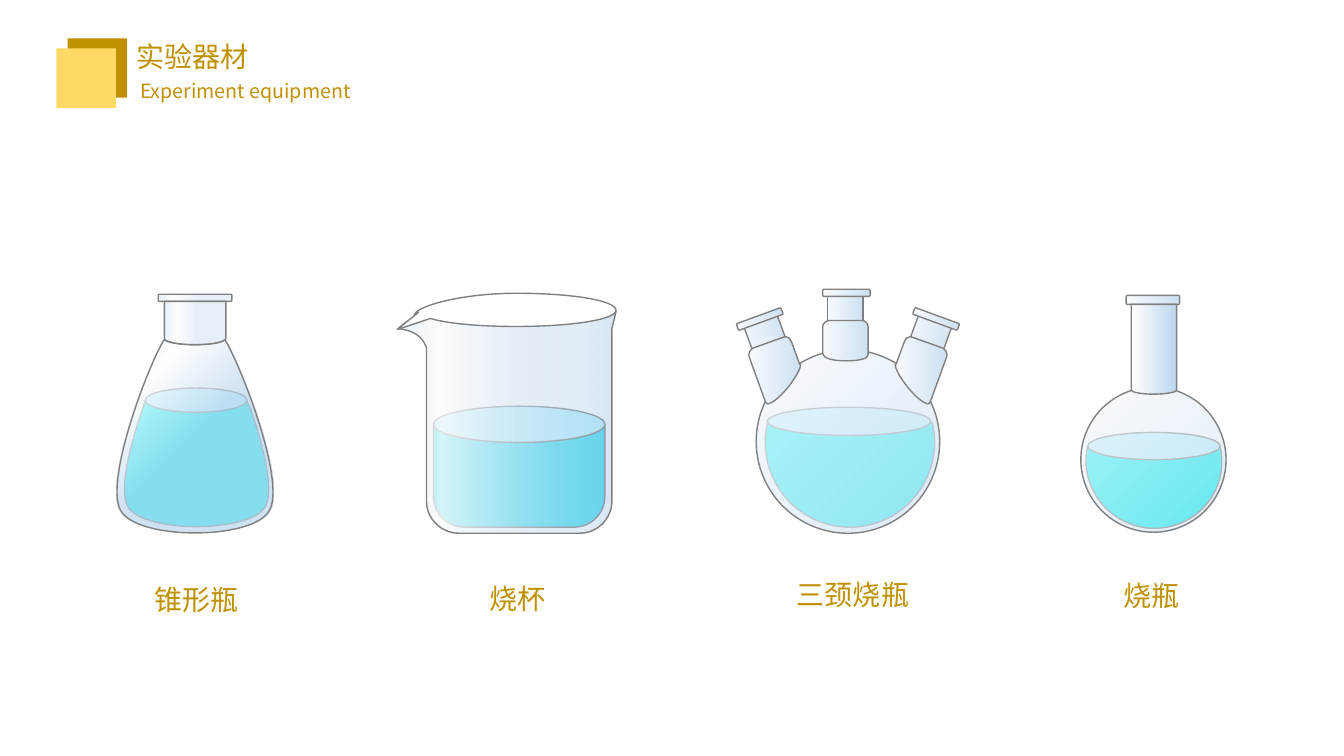
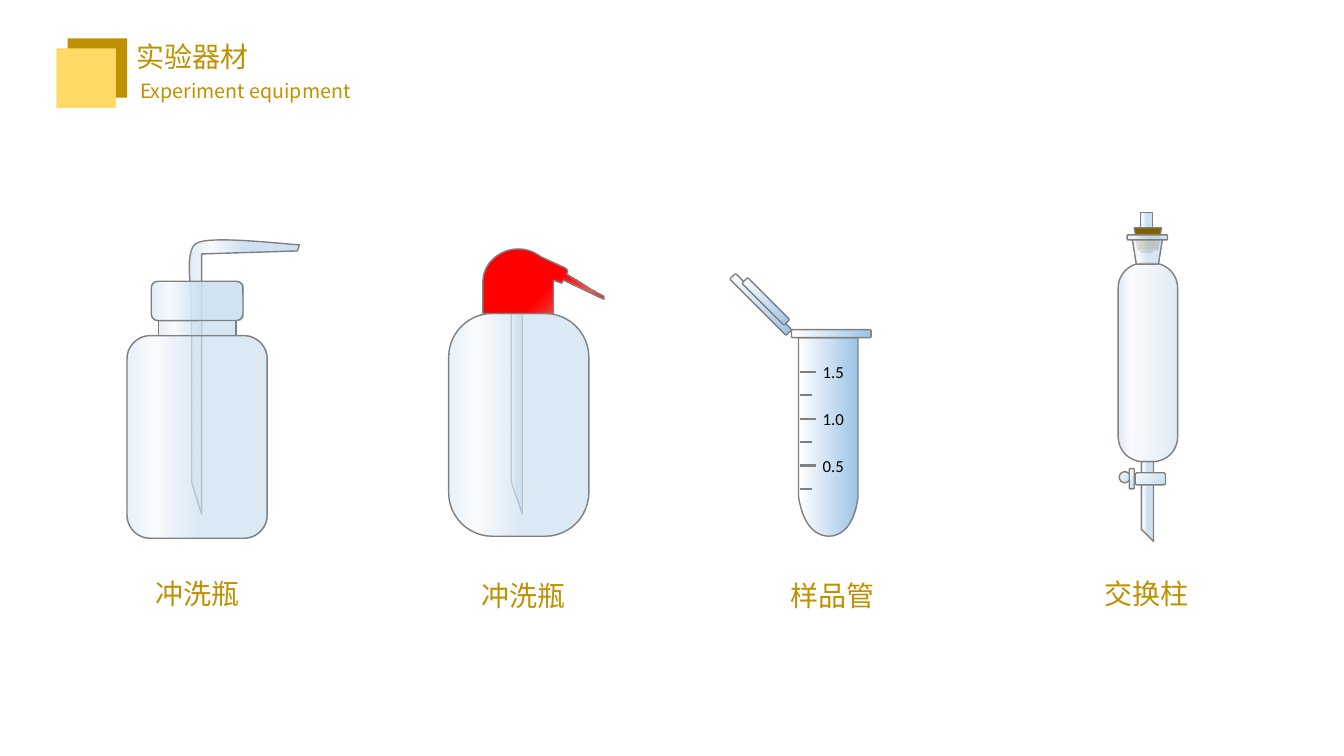
from dataclasses import dataclass, replace

import lxml.etree
import pptx
import pptx.dml.color
import pptx.enum.shapes
import pptx.enum.text
import pptx.oxml.ns
import pptx.util

SHAPE = pptx.enum.shapes.MSO_SHAPE
ALIGN = pptx.enum.text.PP_ALIGN
Inches = pptx.util.Inches
qn = pptx.oxml.ns.qn


@dataclass(frozen=True)
class Gradient:
    """Stops are (percent, colour); alphas holds one opacity, or one per stop."""
    stops: tuple
    alphas: tuple = (100,)
    focus: str = ""

    def faded(self, *alphas):
        return replace(self, alphas=alphas)

    def radial(self, focus="top left"):
        return replace(self, focus=focus)


@dataclass(frozen=True)
class Theme:
    width: float = 13.33
    height: float = 7.5
    gold: str = "BF9000"
    yellow: str = "FFD966"
    outline: str = "808080"
    white: str = "FFFFFF"
    black: str = "000000"
    liquid: str = "00F0F0"
    beaker_liquid: str = "40DDF0"
    surface: str = "BAF1FF"
    cork: str = "806000"
    title_font: str = "Arial"
    text_font: str = "Noto Sans CJK SC"
    scale_font: str = "Calibri"
    title_size: int = 20
    subtitle_size: int = 14
    scale_size: int = 12
    clear: Gradient = Gradient(((0, "F7FAFD"), (100, "CEE1F2")))
    glass: Gradient = Gradient(((0, "DEEBF7"), (20, "F7FAFD"), (50, "CEE1F2")))
    conical: Gradient = Gradient(((0, "DEEBF7"), (20, "FFFFFF"), (50, "BDD7EE")), (70,))
    collar: Gradient = Gradient(((0, "DEEBF7"), (20, "FFFFFF"), (50, "DEEBF7")), (70,))
    beaker: Gradient = Gradient(
        ((0, "DEEBF7"), (20, "FCFCFC"), (85, "B5D2EC"), (100, "9DC3E6")), (40, 80, 40, 40))
    neck: Gradient = Gradient(((0, "FFFFFF"), (100, "BDD7EE")))
    tube: Gradient = Gradient(((0, "FFFFFF"), (100, "9DC3E6")))
    column: Gradient = Gradient(
        ((0, "DEEBF7"), (80, "F7FAFD"), (100, "CEE1F2")), (100, 70, 70))
    valve: Gradient = Gradient(((0, "F7FAFD"), (86, "CEE1F2")), focus="top left")
    nozzle: Gradient = Gradient(
        ((0, "FF0000"), (20, "FF5050"), (44, "FF0000")), focus="bottom right")


THEME = Theme()


def rgb(colour):
    return pptx.dml.color.RGBColor.from_string(colour)


def apply_gradient(shape, gradient):
    shape.fill.gradient()
    element = shape.element.xpath("./p:spPr/a:gradFill")[0]
    element.clear()
    element.set("rotWithShape", "1")
    stop_list = lxml.etree.SubElement(element, qn("a:gsLst"))
    alphas = gradient.alphas
    if len(alphas) == 1:
        alphas *= len(gradient.stops)
    for (percent, colour), alpha in zip(gradient.stops, alphas):
        stop = lxml.etree.SubElement(stop_list, qn("a:gs"), pos=str(percent * 1000))
        tint = lxml.etree.SubElement(stop, qn("a:srgbClr"), val=colour)
        if alpha < 100:
            lxml.etree.SubElement(tint, qn("a:alpha"), val=str(alpha * 1000))
    if gradient.focus:
        circle = lxml.etree.SubElement(element, qn("a:path"), path="circle")
        sides = "rb" if gradient.focus == "top left" else "lt"
        lxml.etree.SubElement(circle, qn("a:fillToRect"), {side: "100000" for side in sides})
    else:
        lxml.etree.SubElement(element, qn("a:lin"), ang="0", scaled="0")


def finish(shape, fill, outlined=True):
    shape.shadow.inherit = False
    if isinstance(fill, Gradient):
        apply_gradient(shape, fill)
    else:
        shape.fill.solid()
        shape.fill.fore_color.rgb = rgb(fill)
    if outlined:
        shape.line.color.rgb = rgb(THEME.outline)
        shape.line.width = pptx.util.Pt(1)
    else:
        shape.line.fill.background()


def part(parent, kind, box, fill, rotation=0, adjust=(), flipped=False, outlined=True):
    """Add a preset shape; box is left, top, width, height in inches."""
    shape = parent.shapes.add_shape(kind, *map(Inches, box))
    shape.rotation = rotation
    for index, value in enumerate(adjust):
        shape.adjustments[index] = value
    if flipped:
        shape.element.xpath("./p:spPr/a:xfrm")[0].set("flipV", "1")
    finish(shape, fill, outlined)


def read_outline(outline, mirror):
    """Split 'x,y' points into segments of one point, or of three after a C."""
    tokens = iter(outline.split())

    def point(token):
        x, y = map(float, token.split(","))
        return Inches(x if mirror is None else 2 * mirror - x), Inches(y)

    return [[point(next(tokens)) for _ in range(3)] if token == "C" else [point(token)]
            for token in tokens]


def extent(segments, axis, steps=20):
    """Return the lowest and highest coordinate that the curves reach."""
    values = []
    for segment in segments:
        ends = [point[axis] for point in segment]
        if len(ends) == 3:
            a, (b, c, d) = values[-1], ends
            for t in (step / steps for step in range(1, steps)):
                s = 1 - t
                values.append(s ** 3 * a + 3 * s * s * t * b + 3 * s * t * t * c + t ** 3 * d)
        values.append(ends[-1])
    return round(min(values)), round(max(values))


def outline_part(parent, outline, fill, mirror=None):
    """Add a closed outline, reflected about x = mirror when that is given."""
    segments = read_outline(outline, mirror)
    corners = [segment[-1] for segment in segments]
    builder = parent.shapes.build_freeform(*corners[0], scale=1.0)
    builder.add_line_segments(corners[1:], close=True)
    shape = builder.convert_to_shape()
    (left, right), (top, bottom) = extent(segments, 0), extent(segments, 1)
    shape.left, shape.top = left, top
    shape.width, shape.height = right - left, bottom - top
    route = shape.element.xpath(".//a:pathLst/a:path")[0]
    route.clear()
    route.set("w", str(right - left))
    route.set("h", str(bottom - top))
    for index, segment in enumerate(segments):
        kind = "a:cubicBezTo" if len(segment) == 3 else "a:lnTo" if index else "a:moveTo"
        command = lxml.etree.SubElement(route, qn(kind))
        for x, y in segment:
            lxml.etree.SubElement(command, qn("a:pt"), x=str(x - left), y=str(y - top))
    lxml.etree.SubElement(route, qn("a:close"))
    finish(shape, fill)


def write(shape, text, size, font, colour=THEME.gold, align=ALIGN.LEFT, wrap=True):
    frame = shape.text_frame
    frame.word_wrap = wrap
    frame.vertical_anchor = pptx.enum.text.MSO_ANCHOR.TOP
    paragraph = frame.paragraphs[0]
    paragraph.alignment = align
    run = paragraph.add_run()
    run.text = text
    run.font.size = pptx.util.Pt(size)
    run.font.color.rgb = rgb(colour)
    run.font.name = font
    lxml.etree.SubElement(run._r.xpath("./a:rPr")[0], qn("a:ea"), typeface=font)


def text_box(parent, box, *style, **options):
    write(parent.shapes.add_textbox(*map(Inches, box)), *style, **options)


def label(slide, text, center, top):
    width = 0.28 * len(text) + 0.2
    text_box(slide, (center - width / 2, top, width, 0.44), text, THEME.title_size,
             THEME.text_font, align=ALIGN.CENTER, wrap=False)


def tick(parent, left, right, y):
    line = parent.shapes.add_connector(
        pptx.enum.shapes.MSO_CONNECTOR.STRAIGHT, *map(Inches, (left, y, right, y)))
    line.line.color.rgb = rgb(THEME.outline)
    line.line.width = pptx.util.Pt(1.5)
    lxml.etree.SubElement(line.element.xpath("./p:spPr")[0], qn("a:effectLst"))


def conical_flask(group):
    outline_part(group, "1.44,3.98 2.45,3.98 2.49,4.07 C 2.62,4.45 2.72,4.87 2.63,5.03 "
                 "C 2.47,5.29 1.43,5.29 1.27,5.03 C 1.18,4.87 1.28,4.45 1.41,4.07",
                 THEME.liquid)
    part(group, SHAPE.OVAL, (1.44, 3.85, 1.01, 0.24), THEME.surface)
    outline_part(group, "1.63,3.37 C 1.66,3.4 1.79,3.42 1.93,3.42 C 2.08,3.42 2.21,3.4 "
                 "2.23,3.37 2.26,3.42 C 2.45,3.78 2.83,4.81 2.67,5.07 "
                 "C 2.5,5.36 1.37,5.36 1.2,5.07 C 1.04,4.81 1.41,3.78 1.6,3.42",
                 THEME.conical.radial())
    part(group, SHAPE.ROUNDED_RECTANGLE, (1.57, 2.92, 0.73, 0.07), THEME.collar)
    outline_part(group, "1.63,2.99 2.24,2.99 2.24,3.36 C 2.24,3.39 2.1,3.42 1.94,3.42 "
                 "C 1.77,3.42 1.63,3.39 1.63,3.36", THEME.collar)


def beaker(group):
    part(group, SHAPE.ROUND_2_SAME_RECTANGLE, (4.3, 4.22, 1.7, 1.01),
         THEME.beaker_liquid, adjust=(0.301, 0), flipped=True)
    part(group, SHAPE.OVAL, (4.3, 4.03, 1.7, 0.36), THEME.surface)
    outline_part(group, "4.55,5.29 5.75,5.29 C 5.92,5.29 6.07,5.15 6.07,4.97 6.07,3.26 "
                 "6.11,3.09 4.23,3.09 4.23,3.11 C 4.14,3.12 4.04,3.18 3.95,3.26 "
                 "C 4.04,3.27 4.12,3.3 4.17,3.35 C 4.2,3.38 4.22,3.42 4.23,3.45 "
                 "4.23,4.97 C 4.23,5.15 4.38,5.29 4.55,5.29", THEME.beaker)
    outline_part(group, "3.94,3.27 4.27,3.16 C 4.43,3.21 4.75,3.24 5.12,3.24 "
                 "C 5.67,3.24 6.11,3.17 6.11,3.08 C 6.11,2.98 5.67,2.91 5.12,2.91 "
                 "C 4.58,2.91 4.11,3.04 4.11,3.13 C 4.11,3.14 4.14,3.09 4.15,3.1",
                 THEME.white)


def round_bulb(group, liquid, surface, bulb, glass):
    part(group, SHAPE.CHORD, liquid, THEME.liquid, 291.6, (32.954, 156.884))
    part(group, SHAPE.OVAL, surface, THEME.surface)
    part(group, SHAPE.OVAL, bulb, glass.radial())


def three_neck_flask(group):
    axis = 8.41
    round_bulb(group, (7.59, 3.55, 1.68, 1.68), (7.61, 4.04, 1.62, 0.28),
               (7.5, 3.47, 1.82, 1.82), THEME.clear.faded(70))
    part(group, SHAPE.RECTANGLE, (8.21, 2.91, 0.35, 0.28), THEME.clear)
    part(group, SHAPE.ROUNDED_RECTANGLE, (8.16, 2.87, 0.47, 0.07), THEME.clear)
    outline_part(group, "8.23,3.18 8.55,3.18 C 8.58,3.18 8.61,3.21 8.61,3.24 8.61,3.52 "
                 "C 8.61,3.56 8.52,3.58 8.39,3.58 C 8.27,3.58 8.16,3.56 8.16,3.5 "
                 "8.16,3.24 C 8.16,3.21 8.19,3.18 8.23,3.18", THEME.clear)
    for side in (-1, 1):
        tilt = 20 * side % 360
        part(group, SHAPE.RECTANGLE, (axis + side * 0.835 - 0.175, 3.13, 0.35, 0.28),
             THEME.clear, tilt)
        part(group, SHAPE.ROUNDED_RECTANGLE,
             (axis + side * 0.875 - 0.235, 3.13, 0.47, 0.07), THEME.clear, tilt)
        outline_part(group, "7.79,3.34 C 7.82,3.34 7.84,3.36 7.85,3.39 7.93,3.61 7.94,3.62 "
                     "C 7.94,3.66 7.89,3.75 7.81,3.85 C 7.72,3.96 7.62,4.03 7.6,4 "
                     "7.59,3.98 7.43,3.54 C 7.42,3.51 7.44,3.46 7.48,3.45 7.76,3.35 "
                     "C 7.77,3.34 7.78,3.34 7.79,3.34", THEME.clear,
                     mirror=axis if side > 0 else None)


def round_flask(group):
    round_bulb(group, (10.78, 3.9, 1.33, 1.35), (10.79, 4.29, 1.31, 0.27),
               (10.72, 3.84, 1.44, 1.44), THEME.clear.faded(70, 50))
    part(group, SHAPE.ROUNDED_RECTANGLE, (11.17, 2.93, 0.53, 0.09), THEME.clear)
    outline_part(group, "11.22,3.02 11.67,3.02 11.67,3.87 C 11.67,3.89 11.57,3.91 "
                 "11.44,3.91 C 11.32,3.91 11.22,3.89 11.22,3.87", THEME.neck)


def bent_wash_bottle(group):
    outline_part(group, "1.94,2.42 C 2.05,2.33 2.79,2.42 2.97,2.43 2.95,2.49 2,2.52 "
                 "2,5.1 1.9,4.78 1.9,3 C 1.9,2.89 1.83,2.5 1.94,2.42", THEME.glass)
    part(group, SHAPE.ROUNDED_RECTANGLE, (1.26, 3.33, 1.39, 2.01), THEME.glass.faded(70))
    part(group, SHAPE.TRAPEZOID, (1.57, 3.18, 0.77, 0.15), THEME.glass.faded(80),
         adjust=(0,), flipped=True)
    part(group, SHAPE.ROUNDED_RECTANGLE, (1.5, 2.79, 0.91, 0.39), THEME.glass.faded(90))


def red_wash_bottle(group):
    outline_part(group, "5.07,2.94 5.18,2.94 5.18,5.1 5.07,4.78", THEME.glass)
    part(group, SHAPE.ROUNDED_RECTANGLE, (4.45, 3.11, 1.39, 2.21),
         THEME.glass.faded(70), adjust=(0.312,))
    outline_part(group, "5.14,2.47 C 5.22,2.47 5.28,2.49 5.34,2.53 5.37,2.55 5.61,2.66 "
                 "C 5.63,2.67 5.63,2.69 5.63,2.7 5.62,2.72 5.67,2.75 "
                 "C 5.74,2.79 5.8,2.83 5.86,2.87 5.99,2.94 5.99,2.97 5.59,2.78 5.57,2.81 "
                 "5.49,2.78 5.49,3.11 4.79,3.11 4.79,2.79 C 4.79,2.62 4.95,2.47 5.14,2.47",
                 THEME.nozzle)


def sample_tube(group):
    outline_part(group, "7.92,3.35 8.51,3.35 8.51,4.93 C 8.47,5.25 8.32,5.32 8.22,5.32 "
                 "C 8.12,5.32 7.97,5.25 7.92,4.93", THEME.tube)
    for left, top, width, tilt in ((7.15, 2.98, 0.79, 45), (7.85, 3.27, 0.79, 0),
                                   (7.3, 2.95, 0.59, 45)):
        part(group, SHAPE.ROUNDED_RECTANGLE, (left, top, width, 0.08), THEME.tube, tilt)
    for index, volume in enumerate(("1.5", "", "1.0", "", "0.5", "")):
        y = 3.69 + index * 0.232
        tick(group, 7.93, 8.09 if volume else 8.05, y)
        if volume:
            text_box(group, (8.06, y - 0.15, 0.42, 0.3), volume, THEME.scale_size,
                     THEME.scale_font, THEME.black, wrap=False)


def exchange_column(group):
    part(group, SHAPE.RECTANGLE, (11.31, 2.11, 0.12, 0.39), THEME.glass)
    part(group, SHAPE.TRAPEZOID, (11.25, 2.26, 0.27, 0.22), THEME.cork,
         adjust=(0.162,), flipped=True)
    part(group, SHAPE.ROUNDED_RECTANGLE, (11.09, 2.61, 0.59, 1.97), THEME.column, 180, (0.419,))
    outline_part(group, "11.32,4.58 11.44,4.58 11.44,5.37 11.32,5.25", THEME.glass)
    part(group, SHAPE.TEAR, (11.1, 4.68, 0.11, 0.11), THEME.valve, 45)
    for box in ((11.26, 4.69, 0.3, 0.12), (11.2, 4.65, 0.05, 0.2)):
        part(group, SHAPE.ROUNDED_RECTANGLE, box, THEME.valve)
    part(group, SHAPE.TRAPEZOID, (11.23, 2.37, 0.3, 0.25), THEME.glass.faded(80),
         adjust=(0.162,), flipped=True)
    part(group, SHAPE.ROUNDED_RECTANGLE, (11.18, 2.33, 0.4, 0.05), THEME.glass.faded(90))


def heading(slide):
    for left, top, colour in ((0.67, 0.38, THEME.gold), (0.56, 0.48, THEME.yellow)):
        part(slide, SHAPE.RECTANGLE, (left, top, 0.59, 0.59), colour, outlined=False)
    title = slide.shapes.title
    title.left, title.top, title.width, title.height = map(Inches, (1.25, 0.34, 3.8, 0.44))
    write(title, "实验器材", THEME.title_size, THEME.title_font)
    text_box(slide, (1.29, 0.73, 2.58, 0.34), "Experiment equipment",
             THEME.subtitle_size, THEME.text_font)


def equipment_slide(presentation, items):
    """Items are (drawing function, name, label centre, label top)."""
    slide = presentation.slides.add_slide(presentation.slide_layouts[5])
    heading(slide)
    for draw, name, center, top in items:
        draw(slide.shapes.add_group_shape())
        label(slide, name, center, top)


def main():
    presentation = pptx.Presentation()
    presentation.slide_width = Inches(THEME.width)
    presentation.slide_height = Inches(THEME.height)
    equipment_slide(presentation, (
        (conical_flask, "锥形瓶", 1.95, 5.73), (beaker, "烧杯", 5.13, 5.72),
        (three_neck_flask, "三颈烧瓶", 8.46, 5.68), (round_flask, "烧瓶", 11.42, 5.69)))
    equipment_slide(presentation, (
        (bent_wash_bottle, "冲洗瓶", 1.96, 5.67), (red_wash_bottle, "冲洗瓶", 5.19, 5.69),
        (sample_tube, "样品管", 8.26, 5.69), (exchange_column, "交换柱", 11.37, 5.67)))
    presentation.save("out.pptx")


if __name__ == "__main__":
    main()
